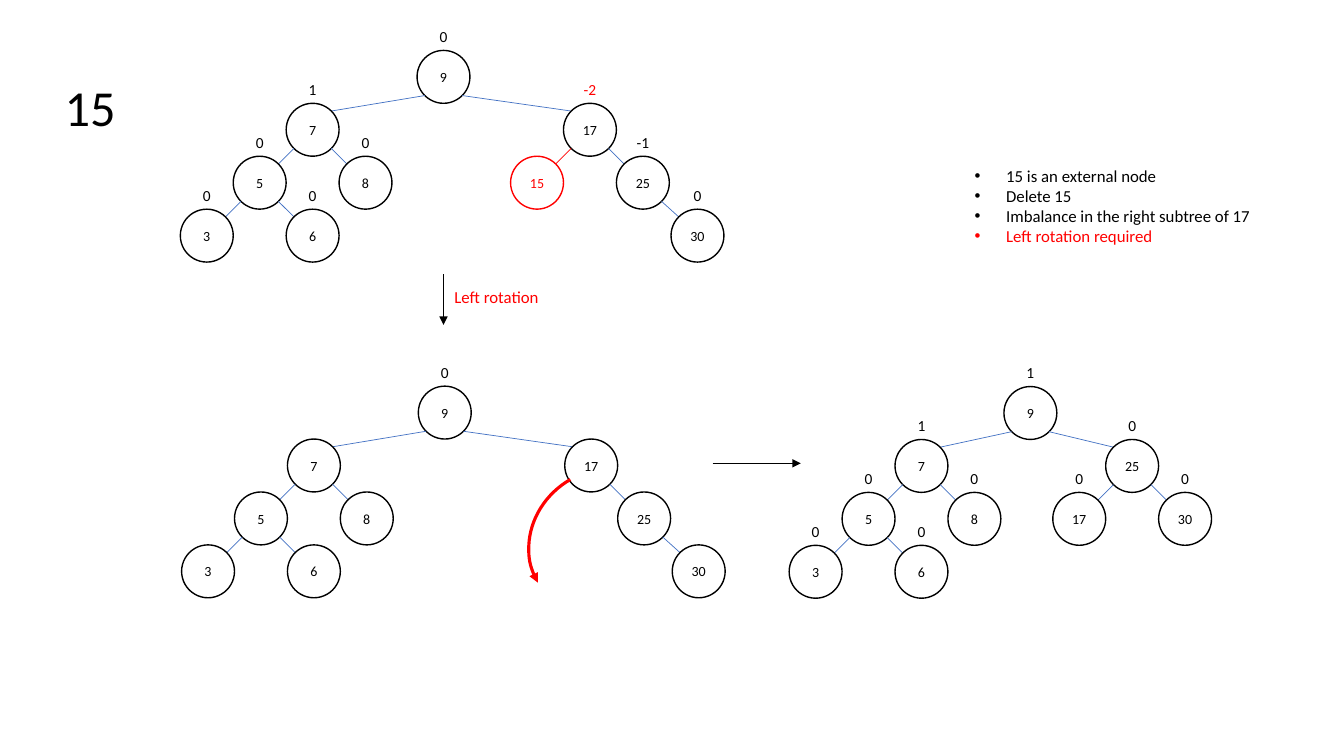
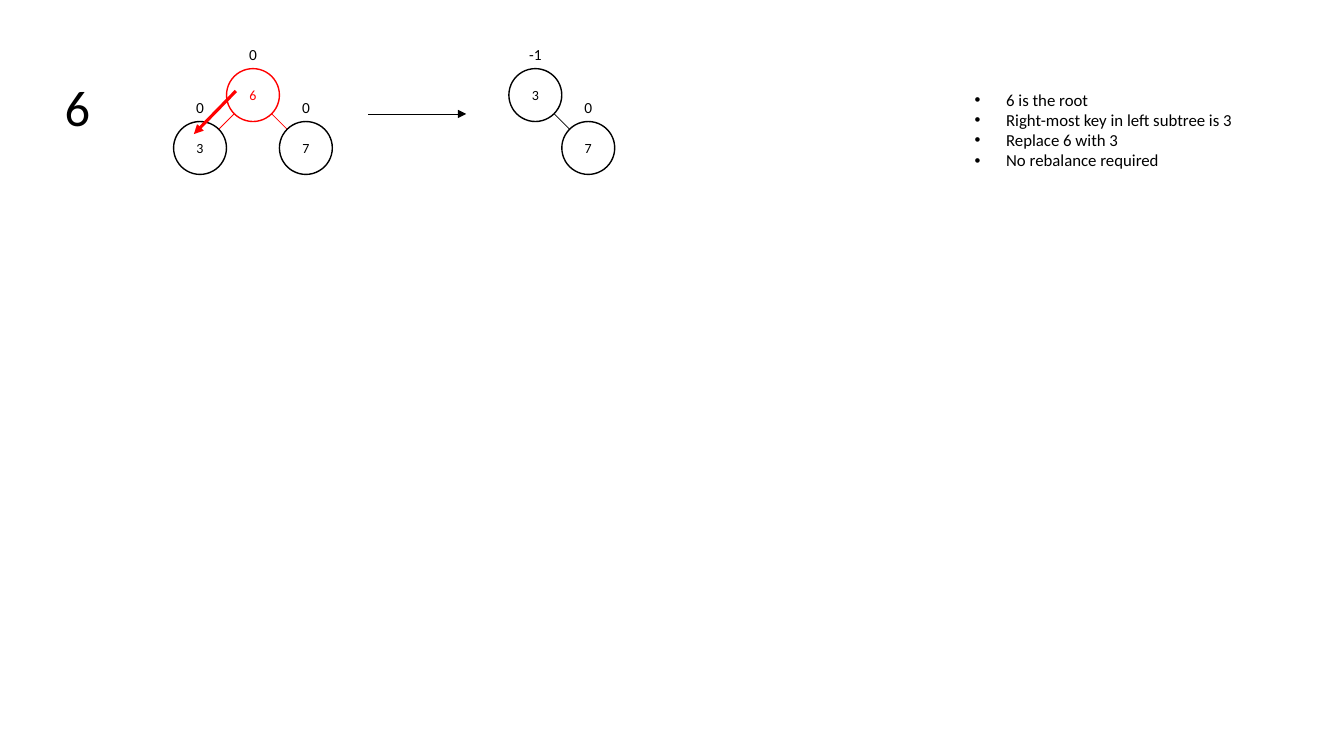
from lxml.etree import SubElement
from pptx import Presentation
from pptx.dml.color import RGBColor
from pptx.enum.shapes import MSO_CONNECTOR as Connector, MSO_SHAPE as Preset
from pptx.enum.text import MSO_ANCHOR as Anchor, MSO_AUTO_SIZE as AutoSize, PP_ALIGN as Align
from pptx.oxml.ns import qn
from pptx.util import Pt

# Shared style, lengths in points
FONT = "Calibri"
BLACK, RED, BLUE = "000000", "FF0000", "4472C4"
NODE = 37.8                 # circle diameter, also the step between levels
DIAGONAL = NODE / 2 * 0.5 ** 0.5
THIN, THICK = 0.5, 2.25
INSET = 3.6

# Content: each node is (key, parent, horizontal offset from parent, balance);
# an ordinary child is one NODE to the side of its parent
SLIDES = [
    {
        "title": "15",
        "notes_top": 114.5,
        "notes": [
            ("15 is an external node", BLACK),
            ("Delete 15", BLACK),
            ("Imbalance in the right subtree of 17", BLACK),
            ("Left rotation required", RED),
        ],
        "trees": [
            {"root": (316.8, 54.9), "edge": BLUE, "red_nodes": ["15"], "red_balances": ["17"],
             "nodes": [
                 ("9", None, 0, "0"), ("7", "9", -93.5, "1"), ("17", "9", 104.6, "-2"),
                 ("5", "7", -NODE, "0"), ("8", "7", NODE, "0"),
                 ("15", "17", -NODE, ""), ("25", "17", NODE, "-1"),
                 ("3", "5", -NODE, "0"), ("6", "5", NODE, "0"), ("30", "25", 39, "0")]},
            {"root": (317.7, 294.7), "edge": BLUE,
             "nodes": [
                 ("9", None, 0, "0"), ("7", "9", -93.5, ""), ("17", "9", 104.6, ""),
                 ("5", "7", -NODE, ""), ("8", "7", NODE, ""), ("25", "17", NODE, ""),
                 ("3", "5", -NODE, ""), ("6", "5", NODE, ""), ("30", "25", 39, "")]},
            {"root": (736, 295), "edge": BLUE,
             "nodes": [
                 ("9", None, 0, "1"), ("7", "9", -77.8, "1"), ("25", "9", 72.7, "0"),
                 ("5", "7", -NODE, "0"), ("8", "7", NODE, "0"),
                 ("17", "25", -NODE, "0"), ("30", "25", NODE, "0"),
                 ("3", "5", -NODE, "0"), ("6", "5", NODE, "0")]},
        ],
        "arrows": [
            ((316.8, 196), (316.8, 232), BLACK, THIN),
            ((509, 331), (572, 331), BLACK, THIN),
        ],
        "arc": (376.6, 335.5, 113.8, 104.4),
        "step_label": ("Left rotation", 317.5, 201),
    },
    {
        "title": "6",
        "notes_top": 60.5,
        "notes": [
            ("6 is the root", BLACK),
            ("Right-most key in left subtree is 3", BLACK),
            ("Replace 6 with 3", BLACK),
            ("No rebalance required", BLACK),
        ],
        "trees": [
            {"root": (180.7, 67.9), "edge": RED, "red_nodes": ["6"],
             "nodes": [("6", None, 0, "0"), ("3", "6", -NODE, "0"), ("7", "6", NODE, "0")]},
            {"root": (382.4, 67.9), "edge": BLACK,
             "nodes": [("3", None, 0, "-1"), ("7", "3", NODE, "0")]},
        ],
        "arrows": [
            ((168.5, 65), (138.5, 95.8), RED, THICK),
            ((263, 81.4), (333, 81.4), BLACK, THIN),
        ],
    },
]


def color(value):
    return RGBColor.from_string(value)


def points(*values):
    return [Pt(value) for value in values]


def add_run(paragraph, text, size, ink=BLACK):
    run = paragraph.add_run()
    run.text = text
    run.font.name, run.font.size = FONT, Pt(size)
    run.font.color.rgb = color(ink)


def set_frame(frame, wrap=True, anchor=Anchor.TOP, side=2 * INSET, top=INSET):
    frame.word_wrap, frame.auto_size = wrap, AutoSize.NONE
    frame.vertical_anchor = anchor
    frame.margin_left = frame.margin_right = Pt(side)
    frame.margin_top = frame.margin_bottom = Pt(top)
    return frame


def set_line(shape, ink, width, arrow=False):
    shape.line.color.rgb = color(ink)
    shape.line.width = Pt(width)
    if arrow:
        line = shape.element.spPr.find(qn("a:ln"))
        SubElement(line, qn("a:tailEnd"), type="triangle")


def add_line(slide, start, end, ink, width, arrow=False):
    connector = slide.shapes.add_connector(Connector.STRAIGHT, *points(*start, *end))
    set_line(connector, ink, width, arrow)
    SubElement(connector.element.spPr, qn("a:effectLst"))


def add_outline(slide, preset, box, ink, width, arrow=False):
    shape = slide.shapes.add_shape(preset, *points(*box))
    shape.shadow.inherit = False
    shape.fill.background()
    set_line(shape, ink, width, arrow)
    return shape


def add_label(slide, text, box, size, ink, align):
    frame = set_frame(slide.shapes.add_textbox(*points(*box)).text_frame)
    paragraph = frame.paragraphs[0]
    paragraph.alignment = align
    add_run(paragraph, text, size, ink)


def add_node(slide, key, x, y, ink):
    box = (x - NODE / 2, y - NODE / 2, NODE, NODE)
    circle = add_outline(slide, Preset.OVAL, box, ink, 1)
    frame = set_frame(circle.text_frame, False, Anchor.MIDDLE, 0, 0)
    paragraph = frame.paragraphs[0]
    paragraph.alignment = Align.CENTER
    add_run(paragraph, key, 10, ink)


def add_tree(slide, tree):
    centers = {}
    for key, parent, offset, balance in tree["nodes"]:
        ink = RED if key in tree.get("red_nodes", []) else BLACK
        if parent is None:
            x, y = tree["root"]
        else:
            parent_x, parent_y = centers[parent]
            x, y = parent_x + offset, parent_y + NODE
            # Edges join the circles at their diagonal points
            reach = DIAGONAL if offset > 0 else -DIAGONAL
            add_line(slide, (parent_x + reach, parent_y + DIAGONAL),
                     (x - reach, y - DIAGONAL), RED if ink == RED else tree["edge"], THIN)
        centers[key] = x, y
        add_node(slide, key, x, y, ink)
        if balance:
            balance_ink = RED if key in tree.get("red_balances", []) else BLACK
            add_label(slide, balance, (x - 20, y - NODE / 2 - 20, 40, 21), 11,
                      balance_ink, Align.CENTER)


def place(shape, box):
    shape.left, shape.top, shape.width, shape.height = points(*box)
    return set_frame(shape.text_frame)


def fill_title(slide, text):
    paragraph = place(slide.shapes.title, (39, 50.4, 122, 51)).paragraphs[0]
    paragraph.alignment = Align.LEFT
    add_run(paragraph, text, 36)


def fill_notes(slide, notes, top):
    frame = place(slide.placeholders[1], (689, top, 240, 65.5))
    for index, (text, ink) in enumerate(notes):
        paragraph = frame.add_paragraph() if index else frame.paragraphs[0]
        properties = paragraph._p.get_or_add_pPr()
        properties.set("marL", str(Pt(22.5)))
        properties.set("indent", str(-Pt(22.5)))
        SubElement(properties, qn("a:buFont"), typeface="Arial")
        SubElement(properties, qn("a:buChar"), char="•")
        paragraph.space_before = Pt(0)
        add_run(paragraph, text, 12, ink)


def build_slide(presentation, content):
    slide = presentation.slides.add_slide(presentation.slide_layouts[1])
    fill_title(slide, content["title"])
    fill_notes(slide, content["notes"], content["notes_top"])
    for tree in content["trees"]:
        add_tree(slide, tree)
    for start, end, ink, width in content["arrows"]:
        add_line(slide, start, end, ink, width, arrow=True)
    # Curved arrow for the rotation and its caption
    if "arc" in content:
        arc = add_outline(slide, Preset.ARC, content["arc"], RED, THICK, arrow=True)
        arc.rotation = 330
        arc.element.spPr.find(qn("a:xfrm")).set("flipH", "1")
    if "step_label" in content:
        text, left, top = content["step_label"]
        add_label(slide, text, (left, top, 90, 22), 12, RED, Align.LEFT)


def main():
    presentation = Presentation()
    presentation.slide_width, presentation.slide_height = points(960, 540)
    for content in SLIDES:
        build_slide(presentation, content)
    presentation.save("out.pptx")


if __name__ == "__main__":
    main()
